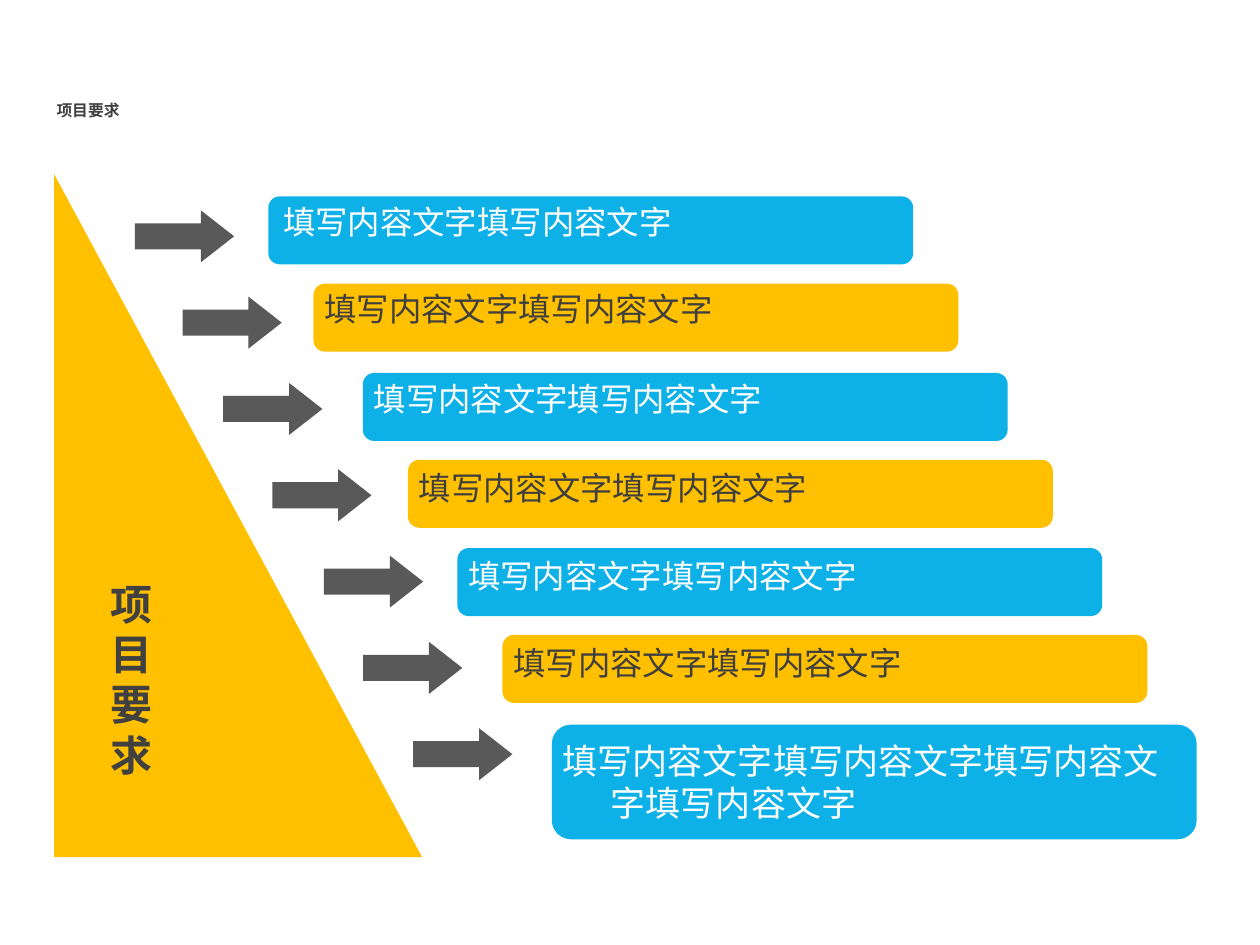
from dataclasses import dataclass

from pptx import Presentation
from pptx.dml.color import RGBColor
from pptx.enum import shapes, text
from pptx.util import Cm, Pt

COLORS = {"yellow": "FFC000", "blue": "0EB1E7", "arrow": "595959",
          "white": "FFFFFF", "dark": "3F3F3F", "title": "404040"}
FONT = "Noto Sans CJK SC"
PHRASE = "填写内容文字"
HEADING = "项目要求"
HANGING = Cm(0.97)


@dataclass
class Box:
    """Position and size in centimetres."""
    x: float
    y: float
    w: float
    h: float

    def lengths(self) -> list:
        return [Cm(v) for v in (self.x, self.y, self.w, self.h)]


@dataclass
class Item:
    """One requirement: its arrow, its bar and the label on the bar."""
    arrow_x: float
    bar_y: float
    label_w: float
    label_dx: float = -0.03
    label_dy: float = 0.08
    bar_h: float = 1.37
    label_h: float = 1.07
    repeats: int = 2
    size: float = 18.5
    spacing: float = 0.9


ITEMS = [
    Item(2.72, 3.96, 9.5, label_dx=0.05),
    Item(3.68, 5.72, 9.5),
    Item(4.5, 7.52, 11.05),
    Item(5.49, 9.27, 13.31, label_dy=0.13),
    Item(6.53, 11.05, 9.5, label_dy=0.13),
    Item(7.32, 12.8, 9.5, label_dy=0.13),
    Item(8.33, 14.61, 12.8, label_dy=0.18, bar_h=2.31, label_h=2.16,
         repeats=4, size=20, spacing=1.0),
]


def add_block(s, kind, box: Box, color: str, adjustments=()):
    sp = s.shapes.add_shape(kind, *box.lengths())
    sp.shadow.inherit = False
    sp.fill.solid()
    sp.fill.fore_color.rgb = RGBColor.from_string(COLORS[color])
    sp.line.fill.background()
    for i, value in enumerate(adjustments):
        sp.adjustments[i] = value
    return sp


def add_label(s, box: Box, lines, size: float, color: str, bold=False,
              anchor=text.MSO_ANCHOR.TOP) -> list:
    """Add a text box and return its paragraphs."""
    tf = s.shapes.add_textbox(*box.lengths()).text_frame
    tf.word_wrap = True
    tf.vertical_anchor = anchor
    for i, line in enumerate(lines):
        p = tf.add_paragraph() if i else tf.paragraphs[0]
        r = p.add_run()
        r.text = line
        r.font.size = Pt(size)
        r.font.bold = bold
        r.font.name = FONT
        r.font.color.rgb = RGBColor.from_string(COLORS[color])
        # East Asian glyphs take their typeface from a:ea
        ea = r.font._element.makeelement(
            "{http://schemas.openxmlformats.org/drawingml/2006/main}ea",
            {"typeface": FONT})
        r.font._element.append(ea)
    return list(tf.paragraphs)


def add_item(s, i: int, item: Item) -> None:
    fill, ink = (("yellow", "dark") if i % 2 else ("blue", "white"))
    add_block(s, shapes.MSO_SHAPE.RIGHT_ARROW,
              Box(item.arrow_x, 4.24 + 1.74 * i, 2, 1.05), "arrow",
              (0.5, 0.64))
    # Bars step right in pairs
    bar_x = 5.41 + 1.905 * (i // 2) + 0.91 * (i % 2)
    add_block(s, shapes.MSO_SHAPE.ROUNDED_RECTANGLE,
              Box(bar_x, item.bar_y, 13, item.bar_h), fill, (0.167,))
    label = Box(bar_x + item.label_dx, item.bar_y + item.label_dy,
                item.label_w, item.label_h)
    p = add_label(s, label, [PHRASE * item.repeats], item.size, ink)[0]
    p.line_spacing = item.spacing
    p.space_before = Pt(5)
    pPr = p._p.get_or_add_pPr()
    pPr.set("marL", str(HANGING))
    pPr.set("indent", str(-HANGING))


def main() -> None:
    prs = Presentation()
    prs.slide_width, prs.slide_height = Cm(25.4), Cm(19.05)
    s = prs.slides.add_slide(prs.slide_layouts[6])

    # Title
    title = add_label(s, Box(0.89, 0.91, 6.81, 0.99), [HEADING], 9, "title",
                      True, text.MSO_ANCHOR.MIDDLE)[0]
    title.line_spacing = Pt(57.6)

    # Triangle
    add_block(s, shapes.MSO_SHAPE.RIGHT_TRIANGLE,
              Box(1.09, 3.51, 7.42, 13.77), "yellow")

    # Staircase of requirements
    for i, item in enumerate(ITEMS):
        add_item(s, i, item)

    # Heading stacked on the triangle
    add_label(s, Box(1.98, 11.35, 6.81, 4.67), HEADING, 24, "title",
              True, text.MSO_ANCHOR.MIDDLE)

    prs.save("out.pptx")


if __name__ == "__main__":
    main()
